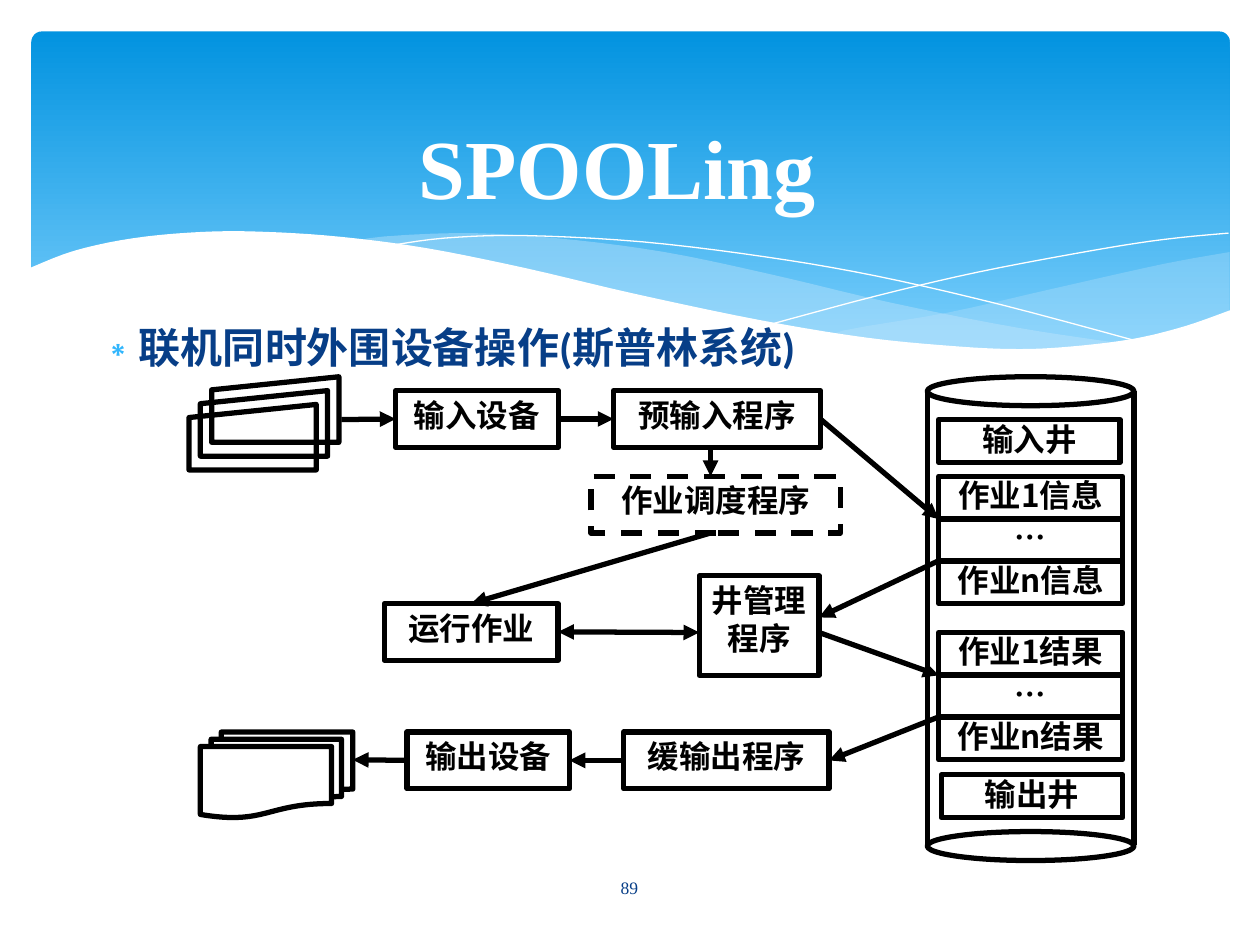
from lxml.etree import SubElement
from pptx import Presentation
from pptx.dml.color import RGBColor
from pptx.enum.dml import MSO_LINE
from pptx.enum.shapes import MSO_CONNECTOR, MSO_SHAPE
from pptx.enum.text import MSO_ANCHOR, PP_ALIGN
from pptx.oxml.ns import qn
from pptx.util import Inches, Pt

BLACK = RGBColor(0x00, 0x00, 0x00)
WHITE = RGBColor(0xFF, 0xFF, 0xFF)
NAVY = RGBColor(0x07, 0x3E, 0x87)
SKY = RGBColor(0x31, 0xB6, 0xFD)
PALE = RGBColor(0xC6, 0xE7, 0xFC)
BANNER_TOP = RGBColor(0x02, 0x93, 0xE0)
BANNER_BOTTOM = RGBColor(0x83, 0xD3, 0xFE)

SERIF, SANS, CHINESE = "Times New Roman", "Calibri", "Noto Sans CJK SC"
TITLE_FONT = {"name": SERIF, "size": Pt(48), "bold": True}
BODY_FONT = {"name": SANS, "size": Pt(24), "bold": True}
BOX_FONT = {"name": CHINESE, "size": Pt(18), "bold": True}
NUMBER_FONT = {"name": SERIF, "size": Pt(10), "bold": False}

BACK_WAVE = [(9.76, 2), (9.21, 2.1), (8.32, 2.3), (7.53, 2.48), (6.61, 2.65), (7.18, 2.73),
             (7.81, 2.77), (8.44, 2.77), (8.97, 2.7), (9.35, 2.62), (9.76, 2.47)]
MIDDLE_WAVE = [(8.93, 2.73), (8.07, 2.6), (7.06, 2.4), (6.13, 2.18), (5.27, 2), (4.41, 1.89),
               (3.61, 1.85), (2.86, 1.91), (3.62, 2.03), (4.49, 2.22), (5.3, 2.4), (6.01, 2.55),
               (6.8, 2.68), (7.48, 2.76), (8.18, 2.79), (8.93, 2.73)]
FALLING_LINE = [(3.09, 1.95), (3.53, 1.89), (4.16, 1.87), (5.1, 1.92), (6.08, 2.04),
                (6.95, 2.19), (7.95, 2.42), (9.07, 2.72)]
RISING_LINE = [(6.13, 2.57), (6.95, 2.35), (7.76, 2.16), (8.66, 1.99), (9.24, 1.9), (9.75, 1.85)]
FRONT_WAVE = [(9.77, 2.46), (9.4, 2.59), (8.99, 2.69), (8.5, 2.75), (8.09, 2.77), (7.61, 2.75),
              (6.88, 2.68), (6.03, 2.54), (5.03, 2.33), (4.18, 2.13), (3.39, 1.97), (2.71, 1.88),
              (2.11, 1.84), (1.61, 1.84), (1.06, 1.89), (0.59, 1.99), (0.23, 2.13)]


def smooth(points, steps=5):
    """Return a Catmull-Rom curve through the points."""
    padded = [points[0], *points, points[-1]]
    curve = [points[0]]
    for a, b, c, d in zip(padded, padded[1:], padded[2:], padded[3:]):
        for step in range(1, steps + 1):
            t = step / steps
            curve.append(tuple(
                q + t * (r - p + t * (2 * p - 5 * q + 4 * r - s + t * (3 * (q - r) + s - p))) / 2
                for p, q, r, s in zip(a, b, c, d)))
    return curve


class SlideBuilder:
    """Hold the slide and its style, with a method for each kind of element."""

    def __init__(self, slide):
        self.slide = slide
        self.shapes = slide.shapes
        self.boxes = {}

    def set_text(self, shape, text, font, color, align=PP_ALIGN.CENTER, anchor=MSO_ANCHOR.TOP,
                 insets=(0.1, 0.05, 0.1, 0.05)):
        frame = shape.text_frame
        frame.word_wrap = True
        frame.vertical_anchor = anchor
        for side, inset in zip(("left", "top", "right", "bottom"), insets):
            setattr(frame, f"margin_{side}", Inches(inset))
        frame.text = text
        for para in frame.paragraphs:
            para.alignment = align
            for span in para.runs:
                for key, value in font.items():
                    setattr(span.font, key, value)
                span.font.color.rgb = color
        for properties in shape.element.iter(qn("a:rPr")):
            SubElement(properties, qn("a:ea"), typeface=CHINESE)

    def placeholder(self, index, frame, text, font, color, **layout):
        shape = self.slide.placeholders[index]
        shape.element.getparent().append(shape.element)
        shape.left, shape.top, shape.width, shape.height = map(Inches, frame)
        self.set_text(shape, text, font, color, **layout)
        return shape

    def bullet(self, shape, character, color, indent):
        for properties in shape.element.iter(qn("a:pPr")):
            properties.set("marL", str(Inches(indent)))
            properties.set("indent", str(-Inches(indent)))
            tint = SubElement(properties, qn("a:buClr"))
            SubElement(tint, qn("a:srgbClr"), val=str(color))
            SubElement(properties, qn("a:buChar"), char=character)

    def banner(self, frame):
        shape = self.shapes.add_shape(MSO_SHAPE.ROUNDED_RECTANGLE, *map(Inches, frame))
        shape.shadow.inherit = False
        shape.adjustments[0] = 0.03
        shape.line.fill.background()
        shape.fill.gradient()
        shape.fill.gradient_angle = 270
        for stop, color in zip(shape.fill.gradient_stops, (BANNER_TOP, BANNER_BOTTOM)):
            stop.color.rgb = color

    def freeform(self, points, closed):
        corners = [tuple(map(Inches, point)) for point in points]
        builder = self.shapes.build_freeform(*corners[0])
        builder.add_line_segments(corners[1:], close=closed)
        shape = builder.convert_to_shape()
        shape.shadow.inherit = False
        return shape

    def wave(self, points, color, opacity=100):
        shape = self.freeform(points, True)
        shape.line.fill.background()
        shape.fill.solid()
        shape.fill.fore_color.rgb = color
        if opacity < 100:
            properties = shape.element.find(qn("p:spPr"))
            tint = properties.find(f"{qn('a:solidFill')}/{qn('a:srgbClr')}")
            SubElement(tint, qn("a:alpha"), val=str(opacity * 1000))

    def hairline(self, points):
        shape = self.freeform(points, False)
        shape.fill.background()
        shape.line.color.rgb = WHITE
        shape.line.width = Pt(0)

    def outline(self, kind, frame):
        shape = self.shapes.add_shape(kind, *map(Inches, frame))
        shape.shadow.inherit = False
        shape.fill.background()
        shape.line.color.rgb = BLACK
        shape.line.width = Pt(3)
        return shape

    def box(self, text, frame, top_inset=0.04):
        shape = self.outline(MSO_SHAPE.RECTANGLE, frame)
        self.set_text(shape, text, BOX_FONT, BLACK, insets=(0, top_inset, 0, 0))
        self.boxes[text] = shape
        return shape

    def connect(self, begin, end, arrows=("tailEnd",)):
        points = [(0, 0) if isinstance(place[0], str) else place for place in (begin, end)]
        line = self.shapes.add_connector(
            MSO_CONNECTOR.STRAIGHT, *(Inches(value) for point in points for value in point))
        for place, join in ((begin, line.begin_connect), (end, line.end_connect)):
            if isinstance(place[0], str):
                join(self.boxes[place[0]], place[1])
        line.line.color.rgb = BLACK
        line.line.width = Pt(3)
        properties = line.element.find(qn("p:spPr"))
        for arrow in arrows:
            SubElement(properties.find(qn("a:ln")), qn(f"a:{arrow}"), type="triangle")
        SubElement(properties, qn("a:effectLst"))

    def number(self, text, frame):
        shape = self.shapes.add_textbox(*map(Inches, frame))
        self.set_text(shape, text, NUMBER_FONT, NAVY, anchor=MSO_ANCHOR.MIDDLE)


def main():
    deck = Presentation()
    deck.slide_width, deck.slide_height = Inches(10), Inches(7.5)
    page = SlideBuilder(deck.slides.add_slide(deck.slide_layouts[1]))

    page.banner((0.25, 0.25, 9.51, 2.7))
    page.wave(smooth(BACK_WAVE), PALE, 29)
    page.wave(smooth(MIDDLE_WAVE), PALE, 40)
    page.hairline(smooth(FALLING_LINE))
    page.hairline(smooth(RISING_LINE))
    page.wave(smooth(FRONT_WAVE) + [(0.23, 3.29), (9.77, 3.29)], WHITE)

    page.placeholder(0, (0.92, 0.8, 7.96, 1.04), "SPOOLing", TITLE_FONT, WHITE,
                     anchor=MSO_ANCHOR.MIDDLE)
    body = page.placeholder(1, (0.67, 2.58, 7.76, 0.62), "联机同时外围设备操作(斯普林系统)",
                            BODY_FONT, NAVY, align=PP_ALIGN.JUSTIFY)
    page.bullet(body, "∗", SKY, 0.3)
    para = body.text_frame.paragraphs[0]
    para.line_spacing = 0.8
    para.space_before = Pt(0)

    for top in (2.99, 6.6):
        page.outline(MSO_SHAPE.OVAL, (7.36, top, 1.64, 0.23))
    for x in (7.36, 9):
        page.connect((x, 3.1), (x, 6.71), arrows=())
    for first_top, topic in ((3.78, "信息"), (5.02, "结果")):
        for row, text in enumerate((f"作业1{topic}", "…", f"作业n{topic}")):
            page.box(text, (7.45, first_top + row * 0.335, 1.46, 0.34), 0)
    page.box("输入井", (7.45, 3.33, 1.44, 0.34), 0)
    page.box("输出井", (7.47, 6.15, 1.44, 0.34), 0)

    for text, left, top, width in (("输入设备", 3.14, 3.1, 1.29), ("预输入程序", 4.87, 3.1, 1.64),
                                   ("作业调度程序", 4.69, 3.78, 1.98), ("运行作业", 3.05, 4.79, 1.38),
                                   ("输出设备", 3.23, 5.81, 1.29), ("缓输出程序", 4.95, 5.81, 1.63)):
        page.box(text, (left, top, width, 0.45))
    page.boxes["作业调度程序"].line.dash_style = MSO_LINE.DASH
    page.box("井管理\n程序", (5.55, 4.57, 0.95, 0.79))

    page.outline(MSO_SHAPE.FLOWCHART_MULTIDOCUMENT, (1.59, 5.81, 1.21, 0.68))
    for card in range(3):
        page.outline(MSO_SHAPE.FLOWCHART_MANUAL_INPUT,
                     (1.68 - card * 0.09, 2.99 + card * 0.11, 1.01, 0.52))

    for begin, end in (((2.71, 3.33), ("输入设备", 1)), (("输入设备", 3), ("预输入程序", 1)),
                       (("预输入程序", 3), (7.45, 4.12)), ((5.64, 3.55), (5.64, 3.78)),
                       ((5.64, 4.23), ("运行作业", 0)), ((7.45, 4.45), (6.5, 4.9)),
                       ((6.5, 5.02), (7.45, 5.36)), ((7.45, 5.69), ("缓输出程序", 3)),
                       (("缓输出程序", 1), ("输出设备", 3)), (("输出设备", 1), (2.8, 6.03))):
        page.connect(begin, end)
    page.connect((5.55, 5.02), ("运行作业", 3), arrows=("headEnd", "tailEnd"))

    page.number("89", (4.36, 6.84, 1.27, 0.4))
    deck.save("out.pptx")


if __name__ == "__main__":
    main()
